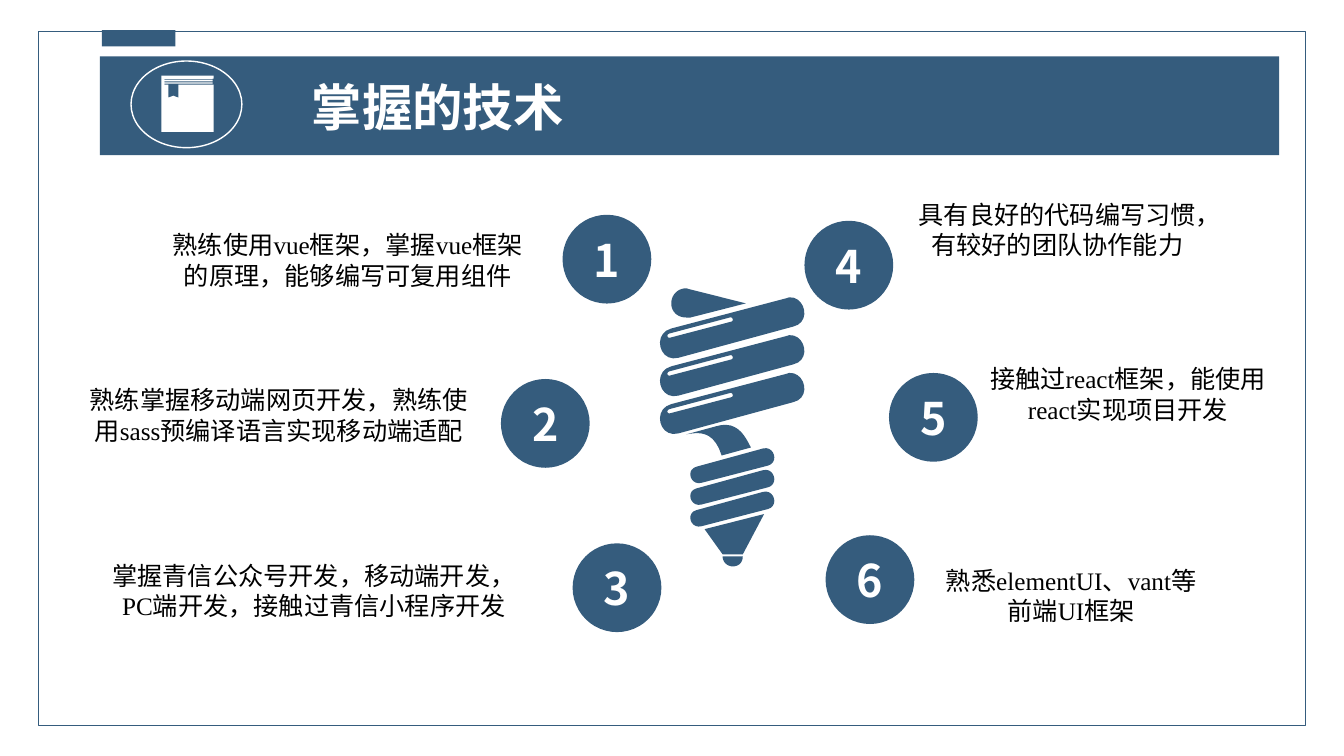
from pptx import Presentation
from pptx import util as u
from pptx.dml.color import RGBColor
from pptx.enum import shapes, text
from pptx.oxml.ns import qn
from lxml import etree

BLUE, WHITE, BLACK = "355C7D", "FFFFFF", "000000"
CJK, LATIN = "Noto Sans CJK SC", "Times New Roman"
CURVE_STEPS = 10

SKILLS = [
    ("1", (401.8, 153.4), (111.6, 159.8, 273.6, 51.8),
     "熟练使用vue框架，掌握vue框架的原理，能够编写可复用组件"),
    ("2", (357.8, 270.7), (51.1, 270.7, 295.9, 51.8),
     "熟练掌握移动端网页开发，熟练使用sass预编译语言实现移动端适配"),
    ("3", (409, 388.1), (72.7, 396, 303.1, 69.8),
     "掌握青信公众号开发，移动端开发，PC端开发，接触过青信小程序开发"),
    ("4", (574.6, 157.7), (642.2, 138.2, 226.1, 69.8),
     "具有良好的代码编写习惯，有较好的团队协作能力"),
    ("5", (635, 266.4), (698.4, 255.6, 214.6, 51.8),
     "接触过react框架，能使用react实现项目开发"),
    ("6", (589.7, 382.3), (668.2, 399.6, 193.7, 51.8),
     "熟悉elementUI、vant等前端UI框架"),
]

COIL = [(563.8, 212.4), (575.3, 211.7, 579.6, 230.4, 566.6, 233.3),
        (484.6, 255.6), (470.9, 259.2, 465.8, 238.3, 479.5, 234.7), (561.6, 213.1)]
COIL_SHINE = [(521.3, 226.8), (478.1, 238.3), (475.9, 239, 476.6, 241.9, 478.8, 241.2),
              (522.7, 229.7), (524.2, 229, 523.4, 226.1, 521.3, 226.8)]
THREAD = [(497.5, 333.4), (489.6, 335.5, 493.2, 347, 501.1, 344.9),
          (548.6, 332.6), (556.6, 330.5, 553, 318.2, 545, 320.4)]
STEM = [(511.2, 304.6), (525.6, 300.2, 531.4, 309.6, 536.4, 319.7),
        (515.5, 325.4), (509.8, 306.7, 498.2, 308.9, 490.3, 310.3)]
CONE = [(545.8, 367.2), (530.6, 396), (516.2, 396), (503.3, 378)]
TIP = [(530.6, 397.4), (530.6, 401.8, 527.8, 404.6, 523.4, 404.6),
       (519.8, 404.6, 516.2, 401.8, 516.2, 397.4)]
CAP = [(490.3, 205.9), (492.5, 206.6), (532.8, 216.7), (493.2, 226.8), (490.3, 226.8),
       (483.8, 226.8, 479.5, 222.5, 479.5, 216.7),
       (479.5, 211, 483.8, 205.9, 490.3, 205.9)]


def color(value):
    return RGBColor.from_string(value)


def points(*values):
    return [u.Pt(value) for value in values]


def style(shape, fill=None, line=None):
    shape.shadow.inherit = False
    if fill:
        shape.fill.solid()
        shape.fill.fore_color.rgb = color(fill)
    else:
        shape.fill.background()
    if line:
        shape.line.color.rgb = color(line)
        shape.line.width = u.Pt(1)
    else:
        shape.line.fill.background()
    return shape


def write(shape, words, size=18, ink=BLACK, bold=False, latin=LATIN,
          align=text.PP_ALIGN.CENTER, anchor=text.MSO_ANCHOR.TOP, spacing=None, inset=None):
    frame = shape.text_frame
    frame.word_wrap = True
    frame.vertical_anchor = anchor
    if inset is not None:
        frame.margin_left = frame.margin_right = u.Pt(inset)
        frame.margin_top = frame.margin_bottom = u.Pt(inset)
    paragraph = frame.paragraphs[0]
    paragraph.alignment = align
    if spacing:
        paragraph.line_spacing = u.Pt(spacing)
    run = paragraph.add_run()
    run.text = words
    run.font.size = u.Pt(size)
    run.font.bold = bold
    run.font.color.rgb = color(ink)
    run.font.name = latin
    east_asian = etree.SubElement(run.font._element, qn("a:ea"))
    east_asian.set("typeface", CJK)


def add_preset(slide, kind, box, fill=None, line=None):
    return style(slide.shapes.add_shape(kind, *points(*box)), fill, line)


def flatten(outline):
    vertices = [outline[0]]
    for segment in outline[1:]:
        if len(segment) == 2:
            vertices.append(segment)
            continue
        x0, y0 = vertices[-1]
        x1, y1, x2, y2, x3, y3 = segment
        for step in range(1, CURVE_STEPS + 1):
            t = step / CURVE_STEPS
            a, b, c, d = (1 - t) ** 3, 3 * t * (1 - t) ** 2, 3 * t * t * (1 - t), t ** 3
            vertices.append((a * x0 + b * x1 + c * x2 + d * x3,
                             a * y0 + b * y1 + c * y2 + d * y3))
    return vertices


def add_outline(slide, *outlines, drop=0, fill=BLUE):
    contours = [[points(x, y + drop) for x, y in flatten(outline)] for outline in outlines]
    builder = slide.shapes.build_freeform(*contours[0][0], scale=1.0)
    builder.add_line_segments(contours[0][1:], close=True)
    for contour in contours[1:]:
        builder.move_to(*contour[0])
        builder.add_line_segments(contour[1:], close=True)
    style(builder.convert_to_shape(), fill)


def add_bulb(slide):
    for outline in (STEM, CONE, TIP, CAP):
        add_outline(slide, outline)
    for index in range(3):
        add_outline(slide, COIL, COIL_SHINE, drop=27 * index)
        add_outline(slide, THREAD, drop=15.5 * index)


def add_skill(slide, number, corner, box, words):
    circle = add_preset(slide, shapes.MSO_SHAPE.OVAL, (*corner, 63.4, 63.4), BLUE)
    write(circle, number, size=32, ink=WHITE, bold=True, latin=CJK,
          anchor=text.MSO_ANCHOR.MIDDLE, inset=0)
    write(slide.shapes.add_textbox(*points(*box)), words, spacing=22)


def add_book(slide):
    pages = []
    for index in range(4):
        y = 59.8 - index
        pages += [(117.4, y), (151.9, y), (151.9, y - 0.5), (117.4, y - 0.5)]
    bookmark = [(127.4, 60.5), (127.4, 69.8), (123.8, 68.4), (120.2, 69.8),
                (120.2, 60.5), (117.4, 60.5)]
    cover = [(117.4, 56.2), (152.6, 56.2), (152.6, 54), (115.2, 54),
             (115.2, 94.3), (152.6, 94.3), (152.6, 60.5)]
    add_outline(slide, bookmark + pages + cover, fill=WHITE)
    add_preset(slide, shapes.MSO_SHAPE.OVAL, (93.6, 43.6, 79.2, 61.9), line=WHITE)


def add_title(slide, words):
    title = slide.shapes.title
    title.left, title.top, title.width, title.height = points(215.5, 40.3, 660, 70.6)
    write(title, words, size=36, ink=WHITE, bold=True, latin=CJK,
          align=text.PP_ALIGN.LEFT, anchor=text.MSO_ANCHOR.MIDDLE)
    slide.shapes._spTree.append(title._element)


def main():
    presentation = Presentation()
    presentation.slide_width, presentation.slide_height = points(960, 540)
    slide = presentation.slides.add_slide(presentation.slide_layouts[5])
    rectangle = shapes.MSO_SHAPE.RECTANGLE
    add_preset(slide, rectangle, (27.4, 22.3, 905, 496.1), line=BLUE)
    add_preset(slide, rectangle, (72.7, 21.6, 52.6, 11.5), BLUE)
    add_bulb(slide)
    for skill in SKILLS:
        add_skill(slide, *skill)
    add_preset(slide, rectangle, (71.3, 40.3, 842.4, 70.6), BLUE)
    add_book(slide)
    add_title(slide, "掌握的技术")
    presentation.save("out.pptx")


if __name__ == "__main__":
    main()
